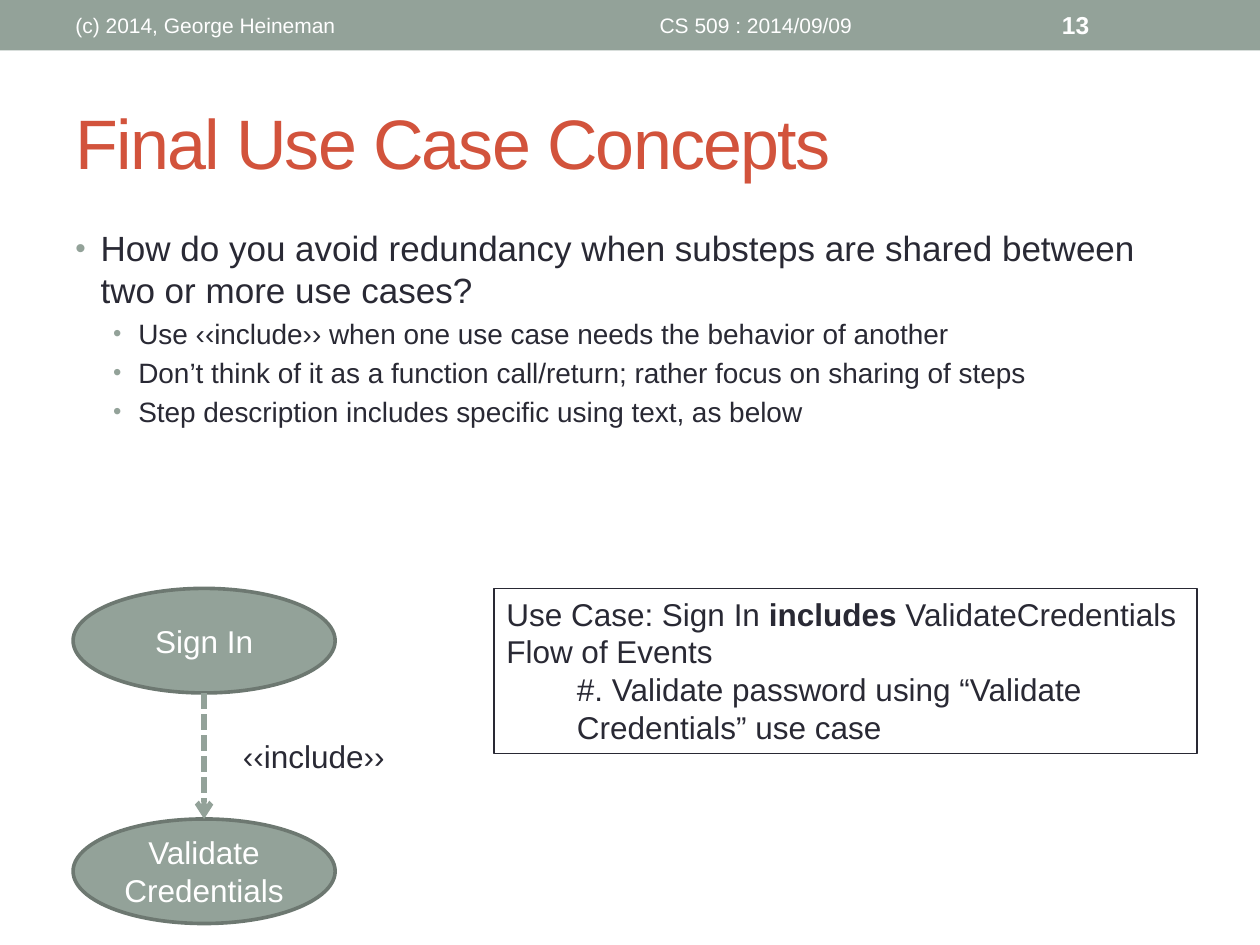
from pptx import Presentation
from pptx.util import Inches, Pt
from pptx.dml.color import RGBColor
from pptx.enum.dml import MSO_LINE
from pptx.enum.shapes import MSO_CONNECTOR as CONN, MSO_SHAPE as SHAPE
from pptx.enum.text import MSO_ANCHOR as ANCHOR, MSO_AUTO_SIZE as FIT, PP_ALIGN as ALIGN
from pptx.oxml.ns import qn
from lxml import etree

SAGE = RGBColor(0x93, 0xA2, 0x99)
EDGE = RGBColor(0x6D, 0x78, 0x71)
INK = RGBColor(0x29, 0x29, 0x34)
RUST = RGBColor(0xD2, 0x53, 0x3C)
WHITE = RGBColor(0xFF, 0xFF, 0xFF)

# Content
TITLE = "Final Use Case Concepts"
HEADER = [  # text, left, width, size, bold, align
    ("(c) 2014, George Heineman", 0.5, 3.17, 12, False, ALIGN.LEFT),
    ("CS 509 : 2014/09/09", 3.75, 4.5, 12, False, ALIGN.CENTER),
    ("13", 8.33, 1.17, 14, True, ALIGN.LEFT),
]
POINTS = [  # level, text
    (0, "How do you avoid redundancy when substeps are shared between two or more use cases?"),
    (1, "Use ‹‹include›› when one use case needs the behavior of another"),
    (1, "Don’t think of it as a function call/return; rather focus on sharing of steps"),
    (1, "Step description includes specific using text, as below"),
]
LEVELS = [(20, 0.2), (16, 0.5)]  # size, indent
CASES = [["Sign In"], ["Validate", "Credentials"]]
FLOW = [  # indent, runs of text and bold
    (0, [("Use Case: Sign In ", False), ("includes ", True), ("ValidateCredentials", False)]),
    (0, [("Flow of Events", False)]),
    (0.56, [("#. Validate password using “Validate Credentials” use case", False)]),
]

# Use case column
LEFT, TOP, WIDE, HIGH, STEP = 0.58, 4.67, 2.08, 0.83, 1.83

deck = Presentation()
deck.slide_width, deck.slide_height = Inches(10), Inches(7.5)
slide = deck.slides.add_slide(deck.slide_layouts[5])


def box(*at):
    return [Inches(v) for v in at]


def add_run(para, text, size, color, bold=False):
    run = para.add_run()
    run.text = text
    font = run.font
    font.name, font.size, font.bold = "Arial", Pt(size), bold
    font.color.rgb = color
    return run


def add_text(at, anchor=ANCHOR.TOP, wrap=True):
    shape = slide.shapes.add_textbox(*box(*at))
    frame = shape.text_frame
    frame.word_wrap, frame.vertical_anchor = wrap, anchor
    return shape, frame


def add_shape(kind, at, fill):
    shape = slide.shapes.add_shape(kind, *box(*at))
    shape.shadow.inherit = False
    shape.fill.solid()
    shape.fill.fore_color.rgb = fill
    return shape


def next_para(frame, num):
    return frame.add_paragraph() if num else frame.paragraphs[0]


def indent(para, left, hang=0):
    props = para._p.get_or_add_pPr()
    props.set("marL", str(Inches(left)))
    props.set("indent", str(Inches(-hang)))
    return props


# Header band
band = add_shape(SHAPE.RECTANGLE, (0, 0, 10, 0.4), SAGE)
band.line.fill.background()
for text, left, wide, size, bold, align in HEADER:
    frame = add_text((left, 0.02, wide, 0.36), ANCHOR.MIDDLE)[1]
    para = frame.paragraphs[0]
    para.alignment = align
    add_run(para, text, size, WHITE, bold)

# Title
title = slide.shapes.title
title.left, title.top, title.width, title.height = box(0.5, 0.58, 9, 1.08)
title.text_frame.vertical_anchor = ANCHOR.MIDDLE
para = title.text_frame.paragraphs[0]
para.alignment = ALIGN.LEFT
run = add_run(para, TITLE, 40, RUST)
run._r.get_or_add_rPr().set("spc", "-100")

# Bullets
frame = add_text((0.5, 1.75, 9, 2.75))[1]
for num, (level, text) in enumerate(POINTS):
    size, left = LEVELS[level]
    para = next_para(frame, num)
    para.level = level
    para.space_before = Pt(size * 0.2)
    props = indent(para, left, 0.2)
    tint = etree.SubElement(props, qn("a:buClr"))
    etree.SubElement(tint, qn("a:srgbClr"), val=str(SAGE))
    etree.SubElement(props, qn("a:buSzPct"), val="85000")
    etree.SubElement(props, qn("a:buFont"), typeface="Arial")
    etree.SubElement(props, qn("a:buChar"), char="•")
    add_run(para, text, size, INK)

# Use cases
for num, lines in enumerate(CASES):
    oval = add_shape(SHAPE.OVAL, (LEFT, TOP + num * STEP, WIDE, HIGH), SAGE)
    oval.line.color.rgb, oval.line.width = EDGE, Pt(2.08)
    frame = oval.text_frame
    frame.word_wrap, frame.vertical_anchor = True, ANCHOR.MIDDLE
    para = frame.paragraphs[0]
    para.alignment = ALIGN.CENTER
    for row, text in enumerate(lines):
        if row:
            para.add_line_break()
        add_run(para, text, 18, WHITE)

# Include arrow and label
mid = LEFT + WIDE / 2
arrow = slide.shapes.add_connector(CONN.STRAIGHT, *box(mid, TOP + HIGH, mid, TOP + STEP))
arrow.line.color.rgb, arrow.line.width = SAGE, Pt(3)
arrow.line.dash_style = MSO_LINE.SQUARE_DOT
etree.SubElement(arrow.line._get_or_add_ln(), qn("a:tailEnd"), type="arrow")
etree.SubElement(arrow._element.spPr, qn("a:effectLst"))
frame = add_text((1.83, 5.8, 1.34, 0.4), wrap=False)[1]
frame.auto_size = FIT.SHAPE_TO_FIT_TEXT
add_run(frame.paragraphs[0], "‹‹include››", 18, INK)

# Flow of events
note, frame = add_text((3.92, TOP, 5.58, 1.31))
note.line.color.rgb, note.line.width = INK, Pt(0.75)
frame.auto_size = FIT.SHAPE_TO_FIT_TEXT
for num, (left, runs) in enumerate(FLOW):
    para = next_para(frame, num)
    if left:
        para.level = 1
        indent(para, left)
    for text, bold in runs:
        add_run(para, text, 18, INK, bold)

deck.save("out.pptx")
